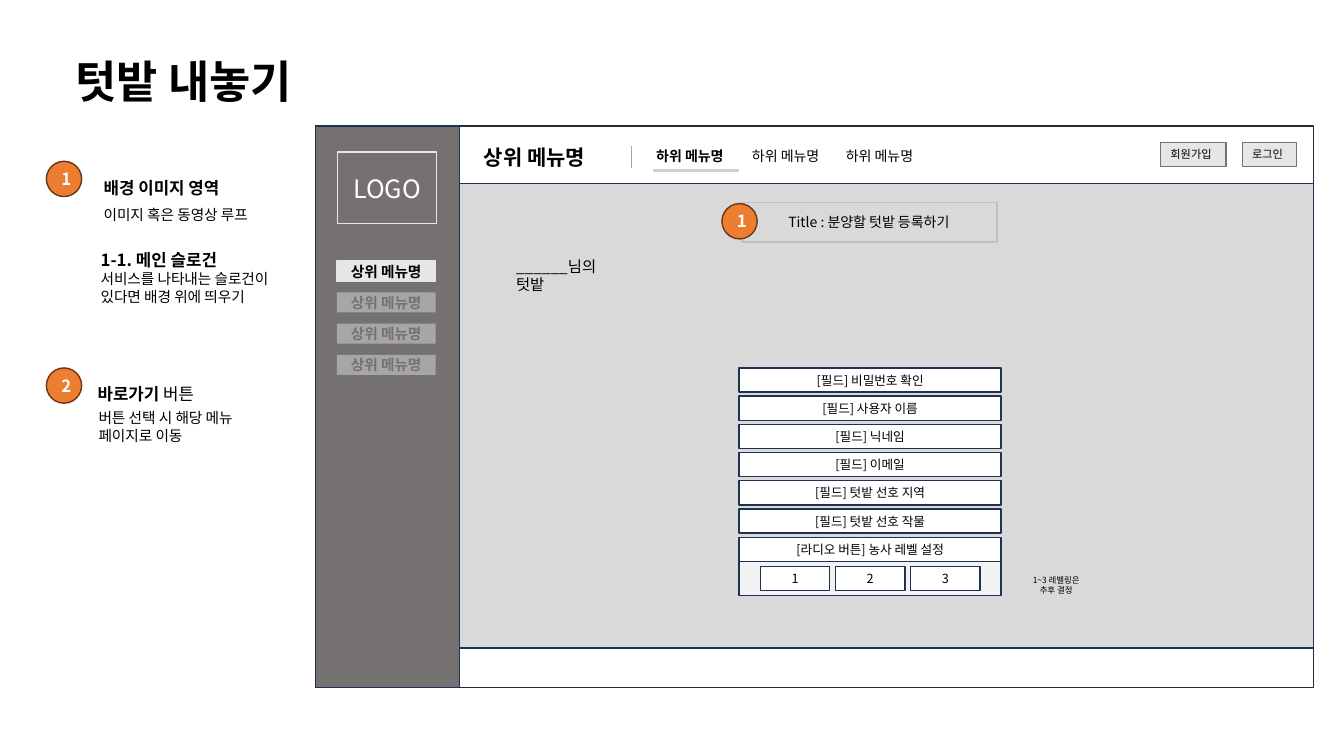
from lxml import etree
from pptx import Presentation
from pptx.dml.color import RGBColor
from pptx.enum.shapes import MSO_CONNECTOR, MSO_SHAPE
from pptx.enum.text import MSO_ANCHOR, MSO_AUTO_SIZE, PP_ALIGN
from pptx.oxml.ns import qn
from pptx.util import Inches, Pt

RECTANGLE, OVAL = MSO_SHAPE.RECTANGLE, MSO_SHAPE.OVAL
STRAIGHT = MSO_CONNECTOR.STRAIGHT
TOP, MIDDLE = MSO_ANCHOR.TOP, MSO_ANCHOR.MIDDLE
LEFT, CENTER = PP_ALIGN.LEFT, PP_ALIGN.CENTER
GROW = MSO_AUTO_SIZE.SHAPE_TO_FIT_TEXT

FONT = "Noto Sans CJK KR"
BLACK = RGBColor(0x00, 0x00, 0x00)
WHITE = RGBColor(0xFF, 0xFF, 0xFF)
NAVY = RGBColor(0x1E, 0x32, 0x56)
SLATE = RGBColor(0x22, 0x2A, 0x35)
DARK_GRAY = RGBColor(0x76, 0x71, 0x71)
MENU_GRAY = RGBColor(0xA6, 0xA6, 0xA6)
DIVIDER_GRAY = RGBColor(0xA5, 0xA5, 0xA5)
BORDER_GRAY = RGBColor(0xBF, 0xBF, 0xBF)
UNDERLINE_GRAY = RGBColor(0xD0, 0xCE, 0xCE)
CANVAS_GRAY = RGBColor(0xD9, 0xD9, 0xD9)
LIGHT_GRAY = RGBColor(0xE7, 0xE6, 0xE6)
PALE_GRAY = RGBColor(0xF2, 0xF2, 0xF2)
ORANGE = RGBColor(0xED, 0x7D, 0x31)
BROWN = RGBColor(0x68, 0x37, 0x15)

TITLE = "텃밭 내놓기"
PANELS = [
    ((3.13, 1.25, 9.9, 5.57), WHITE, SLATE),
    ((4.56, 1.82, 8.47, 4.61), CANVAS_GRAY, NAVY),
    ((3.13, 1.25, 1.43, 5.57), DARK_GRAY, NAVY),
    ((7.36, 2.01, 2.53, 0.39), CANVAS_GRAY, BORDER_GRAY),
]
LOGO_BOX = (3.35, 1.51, 0.98, 0.71)
SIDE_MENU = ["상위 메뉴명"] * 4
BUTTONS = [("회원가입", 11.51, 0.65), ("로그인", 12.32, 0.54)]
FIELDS = [
    "[필드] 비밀번호 확인",
    "[필드] 사용자 이름",
    "[필드] 닉네임",
    "[필드] 이메일",
    "[필드] 텃밭 선호 지역",
    "[필드] 텃밭 선호 작물",
    "[라디오 버튼] 농사 레벨 설정",
]
LEVELS = ["1", "2", "3"]
BADGES = [("1", 0.46, 1.6), ("2", 0.46, 3.65), ("1", 7.16, 2.02)]
HEADINGS = [
    ((0.93, 1.51, 1.5, 0.44), [("배경 이미지 영역", True)], 12),
    ((0.93, 1.82, 1.83, 0.4), [("이미지 혹은 동영상 루프", False)], 10.5),
    ((0.9, 2.23, 1.47, 0.44), [("1-1. 메인 슬로건", True)], 12),
    ((0.87, 3.56, 1.27, 0.44), [("바로가기", True), (" 버튼", False)], 12),
]
LABELS = [
    ((4.7, 1.38, 1.33, 0.35), ["상위 메뉴명"], 15, True),
    ((6.41, 1.41, 0.95, 0.27), ["하위 메뉴명"], 10, True),
    ((7.36, 1.41, 0.95, 0.27), ["하위 메뉴명"], 10, False),
    ((8.29, 1.41, 0.95, 0.27), ["하위 메뉴명"], 10, False),
    ((7.72, 2.07, 1.96, 0.27), ["Title : 분양할 텃밭 등록하기"], 10, False),
    ((0.88, 4.01, 1.74, 0.45), ["버튼 선택 시 해당 메뉴", "페이지로 이동"], 10.5, False),
]
WRAPPED_NOTES = [
    ((0.9, 2.63, 2.17, 0.45), "서비스를 나타내는 슬로건이 있다면 배경 위에 띄우기", 10.5, LEFT),
    ((5.02, 2.5, 1.1, 0.46), "______님의 텃밭", 11, LEFT),
    ((10.07, 5.66, 0.81, 0.3), "1~3 레벨링은 추후 결정", 6, CENTER),
]
LINES = [
    ((6.26, 1.45, 6.26, 1.67), DIVIDER_GRAY, 0.5),
    ((6.48, 1.69, 7.33, 1.69), UNDERLINE_GRAY, 2.25),
]


def write(shape, paragraphs, size, color=BLACK, align=LEFT, anchor=TOP, wrap=True, spacing=None):
    """Fill a shape with paragraphs, each a list of (text, bold) runs."""
    frame = shape.text_frame
    frame.word_wrap = wrap
    frame.vertical_anchor = anchor
    if not wrap:
        frame.auto_size = GROW
    for index, runs in enumerate(paragraphs):
        paragraph = frame.add_paragraph() if index else frame.paragraphs[0]
        paragraph.alignment = align
        if spacing:
            paragraph.line_spacing = spacing
        for text, bold in runs:
            run = paragraph.add_run()
            run.text = text
            run.font.size = Pt(size)
            run.font.bold = bold
            run.font.color.rgb = color
            run.font.name = FONT
            etree.SubElement(run.font._element, qn("a:ea")).set("typeface", FONT)


def add_box(slide, box, fill, line, width=1, kind=RECTANGLE):
    """Add a shape with the given fill and outline, either of which may be None."""
    shape = slide.shapes.add_shape(kind, *map(Inches, box))
    shape.shadow.inherit = False
    if fill is None:
        shape.fill.background()
    else:
        shape.fill.solid()
        shape.fill.fore_color.rgb = fill
    if line is None:
        shape.line.fill.background()
    else:
        shape.line.color.rgb = line
        shape.line.width = Pt(width)
    return shape


def add_centered(slide, box, text, size, fill, line, color=BLACK, bold=False, kind=RECTANGLE):
    """Add a shape with one line of centred text."""
    shape = add_box(slide, box, fill, line, kind=kind)
    write(shape, [[(text, bold)]], size, color, CENTER, MIDDLE)


def add_label(slide, box, paragraphs, size, **options):
    """Add a text box."""
    write(slide.shapes.add_textbox(*map(Inches, box)), paragraphs, size, **options)


def add_line(slide, ends, color, width):
    """Add a straight line without a shadow."""
    line = slide.shapes.add_connector(STRAIGHT, *map(Inches, ends))
    line.line.color.rgb = color
    line.line.width = Pt(width)
    etree.SubElement(line._element.spPr, qn("a:effectLst"))


def main():
    """Build the wireframe slide and save it."""
    presentation = Presentation()
    presentation.slide_width, presentation.slide_height = Inches(13.33), Inches(7.5)
    slide = presentation.slides.add_slide(presentation.slide_layouts[5])

    title = slide.shapes.title
    title.left, title.top, title.width, title.height = map(Inches, (0.65, 0.48, 2.6, 0.64))
    write(title, [[(TITLE, True)]], 32, wrap=False)

    for box, fill, line in PANELS:
        add_box(slide, box, fill, line)
    add_centered(slide, LOGO_BOX, "LOGO", 18, None, LIGHT_GRAY, WHITE)
    for row, name in enumerate(SIDE_MENU):
        fill, line, color = (MENU_GRAY, None, DARK_GRAY) if row else (LIGHT_GRAY, LIGHT_GRAY, BLACK)
        add_centered(slide, (3.34, 2.59 + 0.31 * row, 0.98, 0.2), name, 10.5, fill, line, color, True)
    for name, left, width in BUTTONS:
        button = add_box(slide, (left, 1.41, width, 0.24), LIGHT_GRAY, DARK_GRAY, 0.75)
        write(button, [[(name, False)]], 8, wrap=False)

    add_box(slide, (7.33, 5.41, 2.6, 0.5), PALE_GRAY, NAVY)
    for row, name in enumerate(FIELDS):
        add_centered(slide, (7.33, 3.65 + 0.28 * row, 2.6, 0.24), name, 9, WHITE, NAVY)
    for column, level in enumerate(LEVELS):
        add_centered(slide, (7.54 + 0.745 * column, 5.62, 0.69, 0.24), level, 9, WHITE, NAVY)

    for number, left, top in BADGES:
        add_centered(slide, (left, top, 0.35, 0.35), number, 12, ORANGE, BROWN, WHITE, True, OVAL)
    for box, runs, size in HEADINGS:
        add_label(slide, box, [runs], size, wrap=False, spacing=2.0)
    for box, texts, size, bold in LABELS:
        add_label(slide, box, [[(text, bold)] for text in texts], size, wrap=False)
    for box, text, size, align in WRAPPED_NOTES:
        add_label(slide, box, [[(text, False)]], size, align=align)
    for ends, color, width in LINES:
        add_line(slide, ends, color, width)

    presentation.save("out.pptx")


if __name__ == "__main__":
    main()
